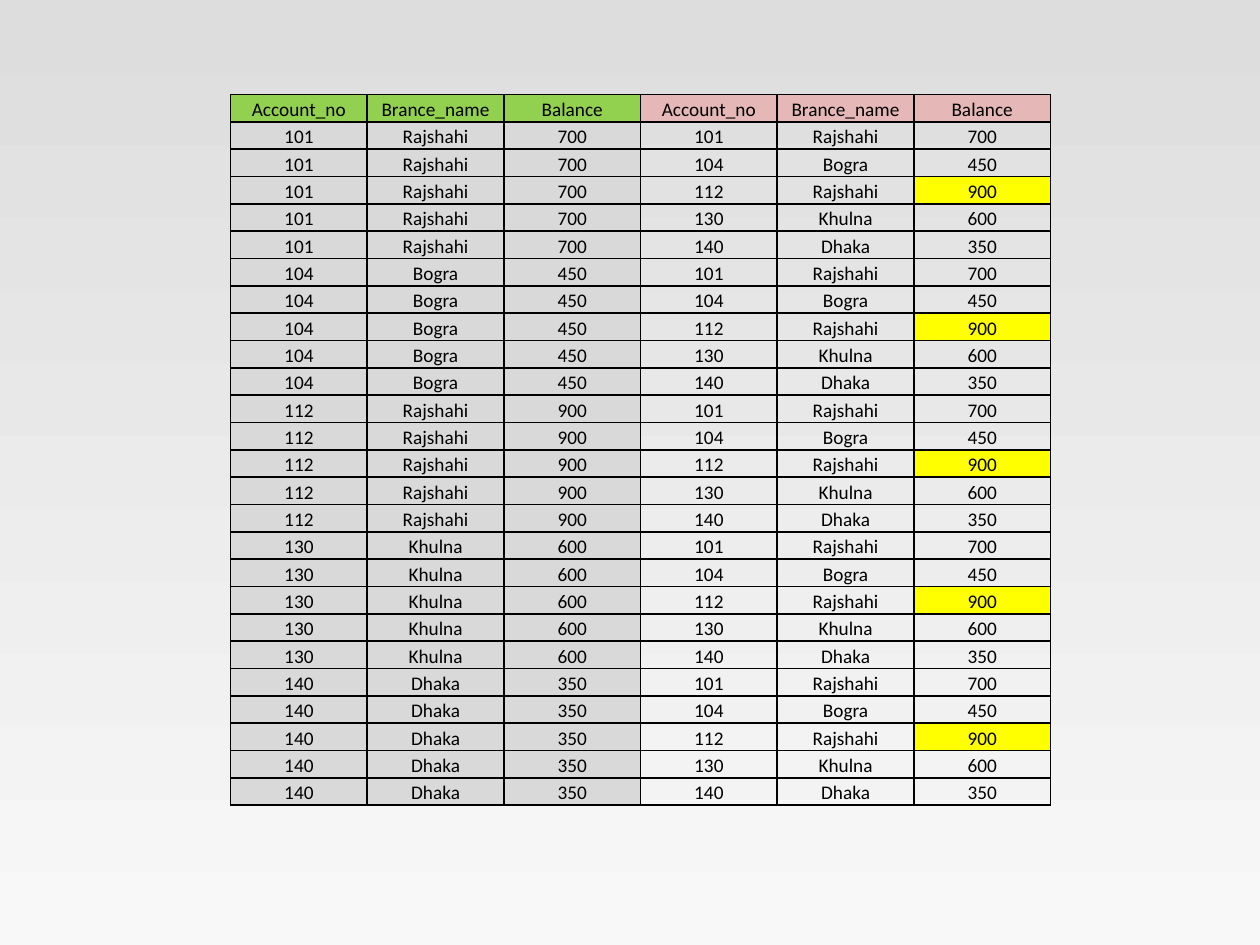
"""Build a slide showing the cross product of an account table with itself."""
from dataclasses import astuple, dataclass
from itertools import product
from typing import Optional

from lxml.etree import SubElement
from pptx import Presentation
from pptx.dml.color import RGBColor as Color
from pptx.enum.text import PP_ALIGN as Align
from pptx.oxml.ns import qn
from pptx.util import Inches, Pt


@dataclass(frozen=True)
class Theme:
    font: str = "Calibri"
    size: float = 11
    line_spacing: float = 1.15
    border_width: float = 1
    ink: str = "000000"
    left_header: str = "92D050"
    right_header: str = "E5B8B7"
    left_body: str = "D9D9D9"
    highlight: str = "FFFF00"
    background: tuple[str, str] = ("DDDDDD", "F8F8F8")


@dataclass(frozen=True)
class Account:
    number: str
    branch: str
    balance: str


@dataclass(frozen=True)
class Entry:
    text: str
    fill: Optional[str] = None


@dataclass(frozen=True)
class Frame:
    left: float
    top: float
    width: float
    height: float


THEME = Theme()
SLIDE_WIDTH, SLIDE_HEIGHT = Inches(10), Inches(7.5)
TABLE_FRAME = Frame(left=0.183, top=0.1, width=0.651, height=0.73)
HEADINGS = Account("Account_no", "Brance_name", "Balance")
ACCOUNTS = [
    Account("101", "Rajshahi", "700"),
    Account("104", "Bogra", "450"),
    Account("112", "Rajshahi", "900"),
    Account("130", "Khulna", "600"),
    Account("140", "Dhaka", "350"),
]
TOP_BALANCE = max((account.balance for account in ACCOUNTS), key=int)


def entries(account: Account, fill: Optional[str] = None) -> list[Entry]:
    """Turn one account into three table entries of the same fill."""
    return [Entry(text, fill) for text in astuple(account)]


def joined_row(left: Account, right: Account) -> list[Entry]:
    """Pair two accounts, marking the largest balance on the right."""
    row = entries(left, THEME.left_body) + entries(right)
    if right.balance == TOP_BALANCE:
        row[-1] = Entry(right.balance, THEME.highlight)
    return row


def add_borders(cell) -> None:
    """Draw a solid line on all four sides of a cell."""
    properties = cell._tc.get_or_add_tcPr()
    for side in ("lnL", "lnR", "lnT", "lnB"):
        line = SubElement(properties, qn(f"a:{side}"), w=str(Pt(THEME.border_width)))
        solid = SubElement(line, qn("a:solidFill"))
        SubElement(solid, qn("a:srgbClr"), val=THEME.ink)


def fill_cell(cell, entry: Entry) -> None:
    """Write and format one table entry."""
    cell.margin_left = cell.margin_right = Inches(0.07)
    cell.margin_top = cell.margin_bottom = 0
    add_borders(cell)
    if entry.fill:
        cell.fill.solid()
        cell.fill.fore_color.rgb = Color.from_string(entry.fill)
    else:
        cell.fill.background()
    paragraph = cell.text_frame.paragraphs[0]
    paragraph.alignment = Align.CENTER
    paragraph.line_spacing = THEME.line_spacing
    run = paragraph.add_run()
    run.text = entry.text
    run.font.name = THEME.font
    run.font.size = Pt(THEME.size)
    run.font.color.rgb = Color.from_string(THEME.ink)


def add_grid(slide, frame: Frame, rows: list[list[Entry]]) -> None:
    """Add a table of equal rows and columns, placed by shares of the slide."""
    width, height = int(SLIDE_WIDTH * frame.width), int(SLIDE_HEIGHT * frame.height)
    table = slide.shapes.add_table(
        len(rows), len(rows[0]),
        int(SLIDE_WIDTH * frame.left), int(SLIDE_HEIGHT * frame.top), width, height,
    ).table
    table.first_row = table.horz_banding = False
    for row_index, row in enumerate(rows):
        for column_index, entry in enumerate(row):
            fill_cell(table.cell(row_index, column_index), entry)


def paint_background(slide) -> None:
    """Shade the slide from top to bottom."""
    fill = slide.background.fill
    fill.gradient()
    fill.gradient_angle = 270
    for stop, color in zip(fill.gradient_stops, THEME.background):
        stop.color.rgb = Color.from_string(color)


def main() -> None:
    """Create and save the presentation."""
    presentation = Presentation()
    presentation.slide_width, presentation.slide_height = SLIDE_WIDTH, SLIDE_HEIGHT
    slide = presentation.slides.add_slide(presentation.slide_layouts[6])
    paint_background(slide)
    header = entries(HEADINGS, THEME.left_header) + entries(HEADINGS, THEME.right_header)
    body = [joined_row(left, right) for left, right in product(ACCOUNTS, repeat=2)]
    add_grid(slide, TABLE_FRAME, [header, *body])
    presentation.save("out.pptx")


if __name__ == "__main__":
    main()
